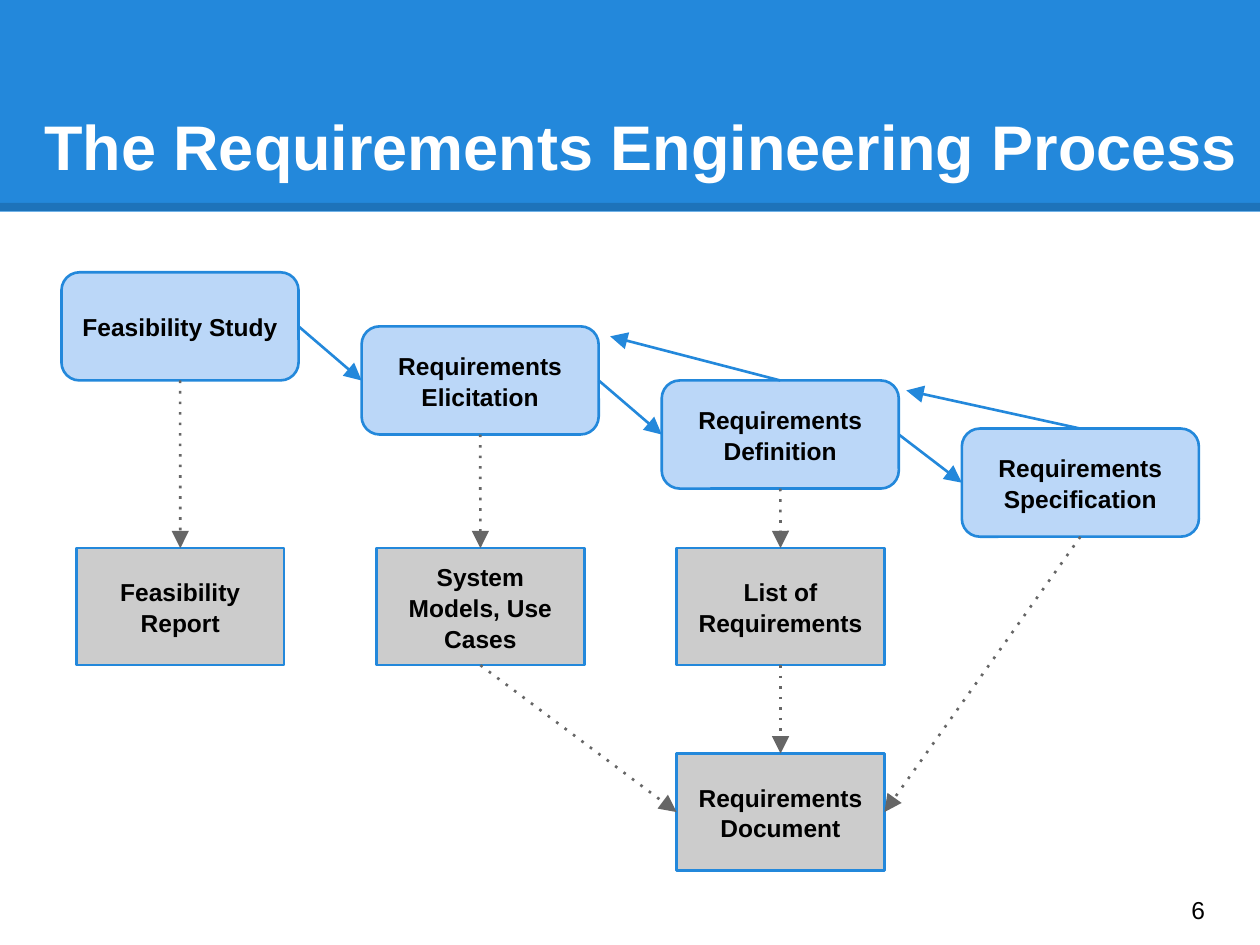
import pptx
import pptx.util
import pptx.dml.color
import pptx.enum.shapes
import pptx.enum.text
import pptx.oxml.ns
from lxml import etree

Cm, Pt = pptx.util.Cm, pptx.util.Pt
SHAPE = pptx.enum.shapes.MSO_SHAPE
ANCHOR = pptx.enum.text.MSO_ANCHOR
ALIGN = pptx.enum.text.PP_ALIGN

COLOURS = {
    "blue": "2388DB",
    "pale": "BBD7F8",
    "grey": "CCCCCC",
    "dark": "666666",
    "black": "000000",
    "white": "FFFFFF",
}
TOP, LEFT, BOTTOM, RIGHT = range(4)  # connection sites of a box


def colour(name):
    return pptx.dml.color.RGBColor.from_string(COLOURS[name])


def add_xml(parent, tag, **attributes):
    return etree.SubElement(parent, pptx.oxml.ns.qn(tag), attributes)


def stroke_of(line):
    return line.element.spPr.find(pptx.oxml.ns.qn("a:ln"))


def write(box, text, size=14, ink="black", bold=True, align=ALIGN.CENTER,
          anchor=ANCHOR.MIDDLE, spacing=1.05):
    frame = box.text_frame
    frame.word_wrap = True
    frame.auto_size = pptx.enum.text.MSO_AUTO_SIZE.NONE
    frame.vertical_anchor = anchor
    frame.margin_left = frame.margin_right = Cm(0.25)
    frame.margin_top = frame.margin_bottom = Cm(0.25)
    para = frame.paragraphs[0]
    para.alignment = align
    para.line_spacing = spacing
    span = para.add_run()
    span.text = text
    span.font.name = "Arial"
    span.font.size = Pt(size)
    span.font.bold = bold
    span.font.color.rgb = colour(ink)


class ProcessSlide:
    line_width = Pt(1.5)

    def __init__(self, deck):
        self.page = deck.slides.add_slide(deck.slide_layouts[5])
        self.shapes = self.page.shapes

    def box(self, kind, left, top, width, height, fill, outline=None):
        box = self.shapes.add_shape(kind, Cm(left), Cm(top), Cm(width), Cm(height))
        box.shadow.inherit = False
        box.fill.solid()
        box.fill.fore_color.rgb = colour(fill)
        if outline:
            box.line.color.rgb = colour(outline)
            box.line.width = self.line_width
        else:
            box.line.fill.background()
        return box

    def line(self, start, end, ink, width):
        line = self.shapes.add_connector(
            pptx.enum.shapes.MSO_CONNECTOR.STRAIGHT, *map(Cm, start + end))
        line.line.color.rgb = colour(ink)
        line.line.width = width
        add_xml(line.element.spPr, "a:effectLst")
        return line

    def arrow(self, source, site, target, target_site=None, ink="blue", dotted=False):
        """Join two boxes, or a box and a free (x, y) point."""
        free = target_site is None
        arrow = self.line((0, 0), target if free else (0, 0), ink, self.line_width)
        arrow.begin_connect(source, site)
        if not free:
            arrow.end_connect(target, target_site)
        stroke = stroke_of(arrow)
        if dotted:
            add_xml(stroke, "a:prstDash", val="dot")
        add_xml(stroke, "a:tailEnd", type="triangle", w="lg", len="lg")

    def stage(self, text, left, top):
        box = self.box(SHAPE.ROUNDED_RECTANGLE, left, top, 4.78, 2.18, "pale", "blue")
        write(box, text)
        return box

    def product(self, text, left, top):
        box = self.box(SHAPE.RECTANGLE, left, top, 4.19, 2.36, "grey", "blue")
        write(box, text)
        return box

    def header(self, text):
        self.box(SHAPE.RECTANGLE, 0, 0, 25.4, 4.27, "blue")
        edge = self.line((0, 4.17), (25.4, 4.17), "black", Pt(4.5))
        ink = stroke_of(edge).find(".//" + pptx.oxml.ns.qn("a:srgbClr"))
        add_xml(ink, "a:alpha", val="15000")
        title = self.shapes.title
        title.left, title.top = Cm(0.64), Cm(0.76)
        title.width, title.height = Cm(24.79), Cm(3.18)
        write(title, text, size=36, ink="white", align=ALIGN.LEFT,
              anchor=ANCHOR.BOTTOM, spacing=1)
        self.shapes.element.append(title.element)  # bring in front of the band

    def number(self, text):
        box = self.shapes.add_textbox(Cm(23.77), Cm(17.6), Cm(1.52), Cm(1.45))
        write(box, text, bold=False, align=ALIGN.LEFT)


def main():
    deck = pptx.Presentation()
    deck.slide_width, deck.slide_height = Cm(25.4), Cm(19.05)
    slide = ProcessSlide(deck)
    slide.header("The Requirements Engineering Process")

    # Stages step down to the right
    columns = [1.24 + 6.05 * index for index in range(4)]
    names = ["Feasibility Study", "Requirements Elicitation",
             "Requirements Definition", "Requirements Specification"]
    tops = [5.49, 6.58, 7.67, 8.64]
    stages = [slide.stage(*item) for item in zip(names, columns, tops)]
    for stage, following in zip(stages, stages[1:]):
        slide.arrow(stage, RIGHT, following, LEFT)

    # Feedback to the stage before
    slide.arrow(stages[2], TOP, (12.3, 6.78))
    slide.arrow(stages[3], TOP, (18.27, 7.87))

    # Products centred under their stages
    names = ["Feasibility Report", "System Models, Use Cases", "List of Requirements"]
    products = [slide.product(name, left + 0.3, 11.05)
                for name, left in zip(names, columns)]
    document = slide.product("Requirements Document", columns[2] + 0.3, 15.19)

    # Dotted flows into the products and the document
    flows = [(stage, product, TOP) for stage, product in zip(stages, products)]
    flows += [(products[1], document, LEFT), (products[2], document, TOP),
              (stages[3], document, RIGHT)]
    for source, target, site in flows:
        slide.arrow(source, BOTTOM, target, site, ink="dark", dotted=True)

    slide.number("6")
    deck.save("out.pptx")


if __name__ == "__main__":
    main()
